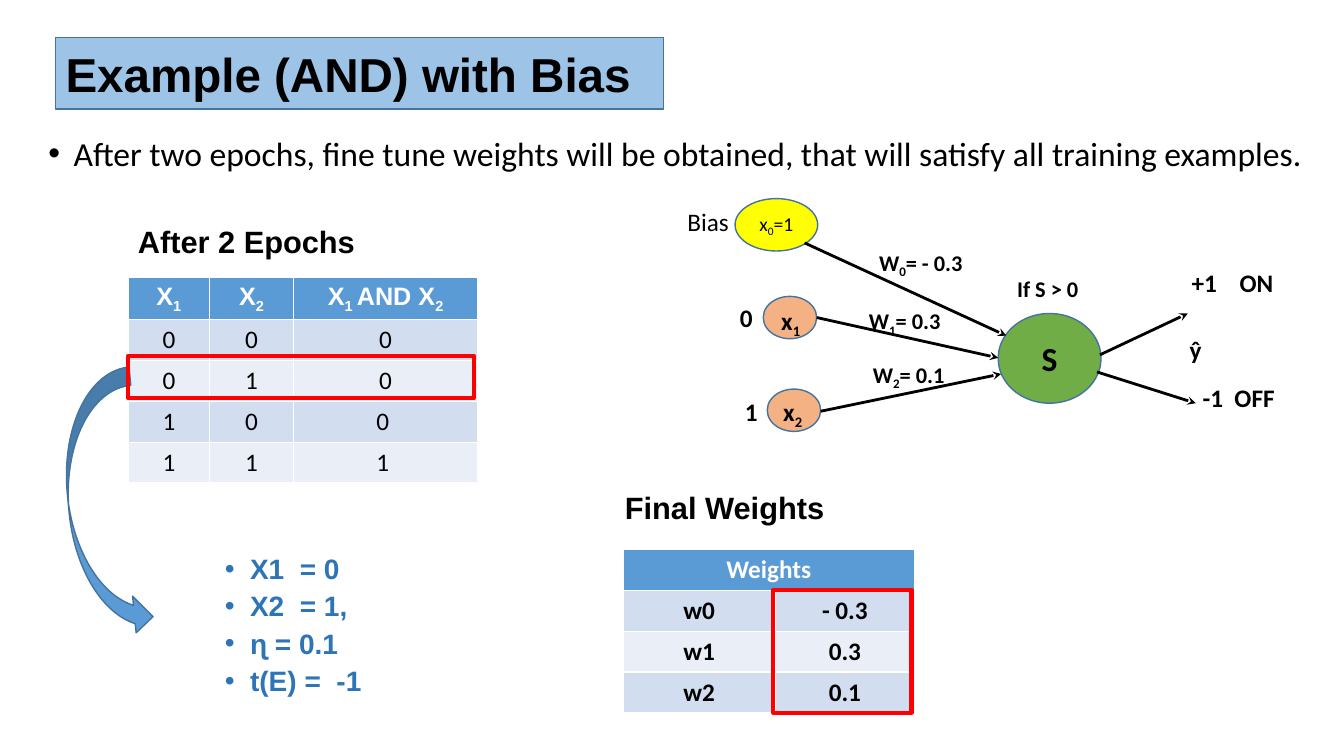
from dataclasses import dataclass

from lxml import etree
from pptx import Presentation
from pptx.dml.color import RGBColor
from pptx.enum.shapes import MSO_CONNECTOR, MSO_SHAPE
from pptx.enum.text import MSO_ANCHOR, MSO_AUTO_SIZE, PP_ALIGN
from pptx.oxml.ns import qn
from pptx.util import Inches, Pt

OVAL, RECT = MSO_SHAPE.OVAL, MSO_SHAPE.RECTANGLE
ARROW = MSO_SHAPE.CURVED_RIGHT_ARROW
LEFT, CENTER = PP_ALIGN.LEFT, PP_ALIGN.CENTER
TOP, MIDDLE = MSO_ANCHOR.TOP, MSO_ANCHOR.MIDDLE
STRAIGHT = MSO_CONNECTOR.STRAIGHT
FIXED = MSO_AUTO_SIZE.NONE


@dataclass(frozen=True)
class Theme:
    head: str = "Arial"
    body: str = "Calibri"
    black: str = "000000"
    white: str = "FFFFFF"
    blue: str = "5B9BD5"
    edge: str = "43739E"
    pale: str = "9DC3E6"
    ink: str = "2E75B6"
    bands: tuple = ("D2DEEF", "EAEFF7")
    red: str = "FF0000"
    peach: str = "F4B183"
    green: str = "70AD47"
    yellow: str = "FFFF00"
    title: int = 34
    lead: int = 24
    label: int = 22
    list: int = 20
    text: int = 18
    weight: int = 16
    small: int = 14


class Page:
    def __init__(self, deck, theme):
        self.theme = theme
        self.slide = deck.slides.add_slide(deck.slide_layouts[3])
        self.shapes = self.slide.shapes

    def words(self, para, text, size, font=None, color=None, bold=True, align=LEFT):
        """Fill a paragraph; parts between bars are subscripts."""
        para.alignment = align
        form = {"size": Pt(size), "name": font or self.theme.body, "bold": bold}
        for i, part in enumerate(text.split("|")):
            if not part:
                continue
            run = para.add_run()
            run.text = part
            for key, value in form.items():
                setattr(run.font, key, value)
            run.font.color.rgb = RGBColor.from_string(color or self.theme.black)
            if i % 2:
                run._r.get_or_add_rPr().set("baseline", "-25000")

    def place(self, shape, box):
        for key, value in zip(("left", "top", "width", "height"), box):
            setattr(shape, key, Inches(value))

    def frame(self, shape, anchor=TOP, wrap=True):
        frame = shape.text_frame
        form = {"word_wrap": wrap, "auto_size": FIXED, "vertical_anchor": anchor}
        for key, value in form.items():
            setattr(frame, key, value)
        return frame

    def paint(self, shape, fill, edge, width=1):
        if fill:
            shape.fill.solid()
            shape.fill.fore_color.rgb = RGBColor.from_string(fill)
        else:
            shape.fill.background()
        shape.line.color.rgb = RGBColor.from_string(edge)
        shape.line.width = Pt(width)

    def title(self, text, box):
        shape = self.shapes.title
        self.place(shape, box)
        geom = etree.SubElement(shape._element.spPr, qn("a:prstGeom"), prst="roundRect")
        etree.SubElement(geom, qn("a:avLst"))
        self.paint(shape, self.theme.pale, self.theme.edge)
        frame = self.frame(shape, MIDDLE)
        self.words(frame.paragraphs[0], text, self.theme.title, self.theme.head)

    def list(self, index, items, box, size, **form):
        shape = self.slide.placeholders[index]
        self.place(shape, box)
        frame = self.frame(shape)
        for i, item in enumerate(items):
            para = frame.add_paragraph() if i else frame.paragraphs[0]
            para.line_spacing = 0.9
            para.space_before = Pt(5 if i else 0)
            props = para._p.get_or_add_pPr()
            props.set("marL", str(Inches(0.25)))
            props.set("indent", str(-Inches(0.25)))
            etree.SubElement(props, qn("a:buFont"), typeface="Arial")
            etree.SubElement(props, qn("a:buChar"), char="•")
            self.words(para, item, size, **form)

    def label(self, text, x, y, width, size=None, **form):
        size = size or self.theme.text
        box = self.shapes.add_textbox(*map(Inches, (x, y, width, size / 60 + 0.1)))
        self.words(self.frame(box).paragraphs[0], text, size, **form)

    def shape(self, kind, box, fill=None, edge=None, width=1, turn=0):
        shape = self.shapes.add_shape(kind, *map(Inches, box))
        shape.shadow.inherit = False
        shape.rotation = turn
        self.paint(shape, fill, edge or self.theme.edge, width)
        return shape

    def node(self, box, fill, text, size, bold=True):
        frame = self.frame(self.shape(OVAL, box, fill), MIDDLE, False)
        self.words(frame.paragraphs[0], text, size, bold=bold, align=CENTER)

    def arrow(self, start, end):
        line = self.shapes.add_connector(STRAIGHT, *map(Inches, start + end))
        line.line.color.rgb = RGBColor.from_string(self.theme.black)
        line.line.width = Pt(2)
        etree.SubElement(line.line._get_or_add_ln(), qn("a:tailEnd"), type="stealth")
        etree.SubElement(line._element.spPr, qn("a:effectLst"))

    def table(self, rows, x, y, cols, font, bold):
        high = 0.405
        size = (x, y, sum(cols), high * len(rows))
        table = self.shapes.add_table(len(rows), len(cols), *map(Inches, size)).table
        for col, width in zip(table.columns, cols):
            col.width = Inches(width)
        for r, row in enumerate(rows):
            for c, text in enumerate(row):
                cell = table.cell(r, c)
                cell.fill.solid()
                fill = self.theme.bands[(r - 1) % 2] if r else self.theme.blue
                cell.fill.fore_color.rgb = RGBColor.from_string(fill)
                form = ({"bold": bold} if r else
                        {"font": font, "color": self.theme.white})
                self.words(cell.text_frame.paragraphs[0], text, self.theme.text,
                           align=CENTER, **form)
        return table


def main():
    deck = Presentation()
    deck.slide_width, deck.slide_height = Inches(13.33), Inches(7.5)
    theme = Theme()
    page = Page(deck, theme)

    # Title and lists
    page.title("Example (AND) with Bias", (0.55, 0.37, 6.03, 0.71))
    page.list(1, ["After two epochs, fine tune weights will be obtained, "
                  "that will satisfy all training examples."],
              (0.38, 1.31, 12.8, 0.6), theme.lead, bold=False)
    page.list(2, ["X1  = 0", "X2  = 1,", "ɳ = 0.1", "t(E) =  -1"],
              (2.13, 5.46, 3.16, 2), theme.list, font=theme.head, color=theme.ink)

    # Truth table with the marked row
    page.label("After 2 Epochs", 1.27, 2.16, 3.58, theme.label, font=theme.head)
    page.table([("X|1|", "X|2|", "X|1 |AND X|2|"), "000", "010",
                ("1", "0", "0 "), ("1", "1", "1 ")],
               1.27, 2.75, (0.81, 0.83, 1.83), theme.head, False)
    page.shape(ARROW, (0.68, 3.67, 0.73, 2.67), theme.blue, turn=354.5)
    page.shape(RECT, (1.27, 3.53, 3.43, 0.42), edge=theme.red, width=3)

    # Final weights
    page.label("Final Weights", 6.1, 4.8, 3.37, theme.label, font=theme.head)
    table = page.table([("Weights", ""), ("w0", "- 0.3"), ("w1", "0.3"), ("w2", "0.1")],
                       6.18, 5.45, (1.51, 1.38), theme.body, True)
    table.cell(0, 0).merge(table.cell(0, 1))
    page.shape(RECT, (7.67, 5.85, 1.37, 1.22), edge=theme.red, width=3)

    # Neurons
    page.node((7.29, 1.97, 0.82, 0.52), theme.yellow, "x|0|=1", theme.small, False)
    page.node((9.9, 3.11, 1.02, 0.89), theme.green, "S", theme.lead)
    for x, y in ((7.57, 2.94), (7.61, 3.86)):
        page.shape(OVAL, (x, y, 0.53, 0.42), theme.peach)

    # Links
    for start, end in (((7.98, 2.41), (9.98, 3.33)), ((8.1, 3.15), (9.9, 3.55)),
                       ((8.14, 4.08), (9.93, 3.71)), ((10.91, 3.52), (11.78, 3.11)),
                       ((10.88, 3.69), (11.86, 4))):
        page.arrow(start, end)

    # Labels of inputs and outputs
    page.label("Bias", 6.72, 2, 0.8, bold=False)
    for text, x, y, width in (("x|1|", 7.65, 2.98, 0.47), ("x|2|", 7.67, 3.88, 0.47),
                              ("0", 7.24, 2.95, 0.47), ("1", 7.29, 3.88, 0.47),
                              ("ŷ", 11.7, 3.27, 0.47), ("+1    ON", 11.72, 2.6, 1.2),
                              ("-1  OFF", 11.83, 3.74, 1.1)):
        page.label(text, x, y, width)

    # Labels of weights and threshold
    for text, x, y in (("W|0|= - 0.3", 8.62, 2.42), ("W|1|= 0.3", 8.52, 3),
                       ("W|2|= 0.1", 8.56, 3.53), ("If S > 0", 9.99, 2.68)):
        page.label(text, x, y, 1.2, theme.weight)

    deck.save("out.pptx")


if __name__ == "__main__":
    main()
